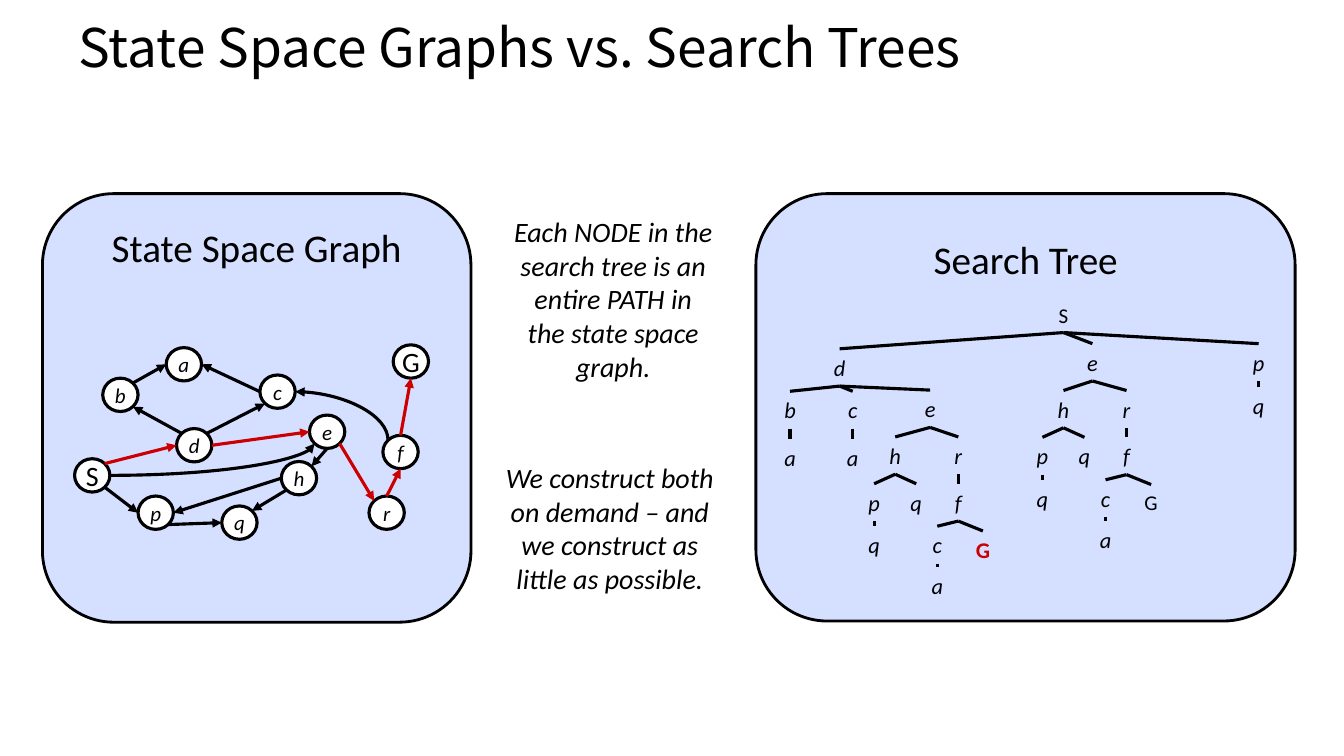
"""Builds a slide comparing a state space graph with its search tree."""
from lxml import etree
from pptx import Presentation
from pptx.dml.color import RGBColor
from pptx.enum.shapes import MSO_CONNECTOR, MSO_SHAPE
from pptx.enum.text import MSO_ANCHOR, PP_ALIGN
from pptx.oxml.ns import qn
from pptx.util import Cm, Pt

STRAIGHT, CURVE = MSO_CONNECTOR.STRAIGHT, MSO_CONNECTOR.CURVE
PANEL, NODE = MSO_SHAPE.ROUNDED_RECTANGLE, MSO_SHAPE.FLOWCHART_CONNECTOR
CENTER, LEFT = PP_ALIGN.CENTER, PP_ALIGN.LEFT
MIDDLE, TOP = MSO_ANCHOR.MIDDLE, MSO_ANCHOR.TOP

THEME = {
    "ink": RGBColor(0x00, 0x00, 0x00),
    "path": RGBColor(0xCC, 0x00, 0x00),
    "panel": RGBColor(0xD5, 0xDF, 0xFF),
    "node": RGBColor(0xFF, 0xFF, 0xFF),
    "panel_line": 2,
    "line": 2.25,
    "title": {"name": "Noto Sans CJK KR", "size": Pt(38)},
    "heading": {"name": "Calibri", "size": Pt(28)},
    "note": {"name": "Calibri", "size": Pt(20), "italic": True},
    "end_node": {"name": "Calibri", "size": Pt(20)},
    "inner_node": {"name": "Calibri", "size": Pt(15), "italic": True},
    "tree": {"name": "Calibri", "size": Pt(16), "italic": True},
    "tree_end": {"name": "Calibri", "size": Pt(15)},
    "tree_goal": {"name": "Calibri", "size": Pt(16), "bold": True},
}

TITLE = ("State Space Graphs vs. Search Trees", (1.70, 0.05, 30.48, 2.21))
PANELS = [
    ((19.05, 4.88, 13.59, 10.77), "Search Tree", (19.08, 5.79, 13.54, 1.45)),
    ((1.07, 4.88, 10.80, 10.80), "State Space Graph", (1.70, 5.51, 9.53, 1.45)),
]
NOTES = [
    ("Each NODE in the search tree is an entire PATH in\vthe state space\vgraph.",
     (12.70, 5.28, 5.51, 4.52)),
    ("We construct both on demand – and we construct as little as possible.",
     (12.50, 11.48, 5.74, 3.68)),
]

NODE_SIZE = (0.89, 0.84)
GRAPH_NODES = {
    "S": (1.88, 11.56), "G": (9.91, 8.69), "d": (4.45, 10.80), "b": (2.59, 9.53),
    "p": (3.48, 12.50), "q": (5.59, 12.75), "c": (6.55, 9.45), "e": (7.80, 10.46),
    "h": (7.09, 11.63), "a": (4.19, 8.76), "f": (9.65, 10.97), "r": (9.30, 12.50),
}
DIAGONAL = 0.71
SITES = {
    "top": (0, -1), "bottom": (0, 1), "left": (-1, 0), "right": (1, 0),
    "top left": (-DIAGONAL, -DIAGONAL), "top right": (DIAGONAL, -DIAGONAL),
    "bottom left": (-DIAGONAL, DIAGONAL), "bottom right": (DIAGONAL, DIAGONAL),
}
GRAPH_EDGES = [
    ("S", "bottom right", "p", "left", "ink"),
    ("p", "bottom right", "q", "left", "ink"),
    ("h", "bottom left", "q", "top right", "ink"),
    ("h", "left", "p", "right", "ink"),
    ("e", "bottom", "h", "top right", "ink"),
    ("e", "bottom right", "r", "top left", "path"),
    ("r", "top", "f", "bottom", "path"),
    ("f", "top", "G", "bottom", "path"),
    ("S", "top right", "d", "left", "path"),
    ("d", "top left", "b", "bottom right", "ink"),
    ("b", "top right", "a", "left", "ink"),
    ("c", "left", "a", "right", "ink"),
    ("d", "top right", "c", "bottom left", "ink"),
    ("d", "right", "e", "left", "path"),
]
CURVED_EDGES = [
    ("c", "right", "f", "top left", "headEnd"),
    ("S", "right", "e", "bottom left", "tailEnd"),
]

TREE_LABEL = (1.75, 0.94)
TREE_END_HEIGHT = 0.89
TREE_NODES = {
    "S": (None, 26.80, 7.49, "tree_end"),
    "Sd": ("S", 21.16, 8.79, "tree"),
    "Sdb": ("Sd", 19.91, 9.86, "tree"),
    "Sdba": ("Sdb", 19.91, 11.05, "tree"),
    "Sdc": ("Sd", 21.49, 9.86, "tree"),
    "Sdca": ("Sdc", 21.49, 11.05, "tree"),
    "Sde": ("Sd", 23.44, 9.83, "tree"),
    "Se": ("S", 27.53, 8.66, "tree"),
    "Sp": ("S", 31.72, 8.66, "tree"),
    "Spq": ("Sp", 31.72, 9.75, "tree"),
}
SUBTREE = {
    "h": (0, 1.18), "hp": (-0.53, 2.36), "hpq": (-0.53, 3.43), "hq": (0.53, 2.36),
    "r": (1.59, 1.18), "rf": (1.59, 2.36), "rfc": (1.06, 3.43),
    "rfca": (1.06, 4.47), "rfG": (2.21, 3.55),
}
SUBTREE_ROOTS = [("Sde", 22.56, "tree_goal", "path"), ("Se", 26.80, "tree_end", "ink")]


def apply_format(target, values):
    for name, value in values.items():
        setattr(target, name, value)


def write(shape, text, style, color="ink", align=CENTER, anchor=TOP, wrap=True, inset=(0.25, 0.13)):
    side, edge = map(Cm, inset)
    frame = shape.text_frame
    apply_format(frame, {"word_wrap": wrap, "vertical_anchor": anchor, "margin_left": side,
                         "margin_right": side, "margin_top": edge, "margin_bottom": edge})
    frame.text = text
    paragraph = frame.paragraphs[0]
    paragraph.alignment = align
    for run in paragraph.runs:
        apply_format(run.font, THEME[style])
        run.font.color.rgb = THEME[color]


def add_text(slide, box, text, style, **options):
    write(slide.shapes.add_textbox(*map(Cm, box)), text, style, **options)


def add_outlined(slide, kind, box, fill, width):
    shape = slide.shapes.add_shape(kind, *map(Cm, box))
    shape.shadow.inherit = False
    shape.fill.solid()
    shape.fill.fore_color.rgb = THEME[fill]
    shape.line.color.rgb = THEME["ink"]
    shape.line.width = Pt(THEME[width])
    return shape


def add_line(slide, start, end, color="ink", arrow=None, kind=STRAIGHT):
    line = slide.shapes.add_connector(kind, *map(Cm, (*start, *end)))
    line.line.color.rgb = THEME[color]
    line.line.width = Pt(THEME["line"])
    properties = line._element.spPr
    if arrow:
        etree.SubElement(properties.find(qn("a:ln")), qn(f"a:{arrow}"), type="triangle")
    etree.SubElement(properties, qn("a:effectLst"))
    if kind == CURVE:
        properties.find(qn("a:prstGeom")).set("prst", "curvedConnector2")


def site_point(node, site):
    return [start + size / 2 * (1 + step)
            for start, size, step in zip(GRAPH_NODES[node], NODE_SIZE, SITES[site])]


def add_graph(slide):
    for name, corner in GRAPH_NODES.items():
        shape = add_outlined(slide, NODE, (*corner, *NODE_SIZE), "node", "line")
        style = "end_node" if name in "SG" else "inner_node"
        write(shape, name, style, anchor=MIDDLE, wrap=False, inset=(0, 0))
    for source, leave, target, enter, color in GRAPH_EDGES:
        add_line(slide, site_point(source, leave), site_point(target, enter), color, "tailEnd")
    for source, leave, target, enter, arrow in CURVED_EDGES:
        add_line(slide, site_point(source, leave), site_point(target, enter), "ink", arrow, CURVE)


def add_tree(slide):
    nodes = {path: (*node, "ink") for path, node in TREE_NODES.items()}
    for root, left, goal_style, goal_color in SUBTREE_ROOTS:
        top = nodes[root][2]
        for path, (across, down) in SUBTREE.items():
            style, color = (goal_style, goal_color) if path[-1] == "G" else ("tree", "ink")
            full_path = root + path
            nodes[full_path] = (full_path[:-1], left + across, top + down, style, color)
    width, height = TREE_LABEL
    for path, (parent, center, top, style, color) in nodes.items():
        add_text(slide, (center - width / 2, top, width, height), path[-1], style, color=color)
        if parent:
            _, parent_center, parent_top, parent_style, _ = nodes[parent]
            drop = TREE_END_HEIGHT if parent_style == "tree_end" else height
            add_line(slide, (parent_center, parent_top + drop), (center, top))


def main():
    presentation = Presentation()
    presentation.slide_width, presentation.slide_height = Cm(33.87), Cm(19.05)
    slide = presentation.slides.add_slide(presentation.slide_layouts[6])
    title, title_box = TITLE
    add_text(slide, title_box, title, "title", align=LEFT, anchor=MIDDLE, inset=(0.28, 0.13))
    for box, heading, heading_box in PANELS:
        add_outlined(slide, PANEL, box, "panel", "panel_line")
        add_text(slide, heading_box, heading, "heading")
    add_tree(slide)
    add_graph(slide)
    for text, box in NOTES:
        add_text(slide, box, text, "note")
    presentation.save("out.pptx")


if __name__ == "__main__":
    main()
